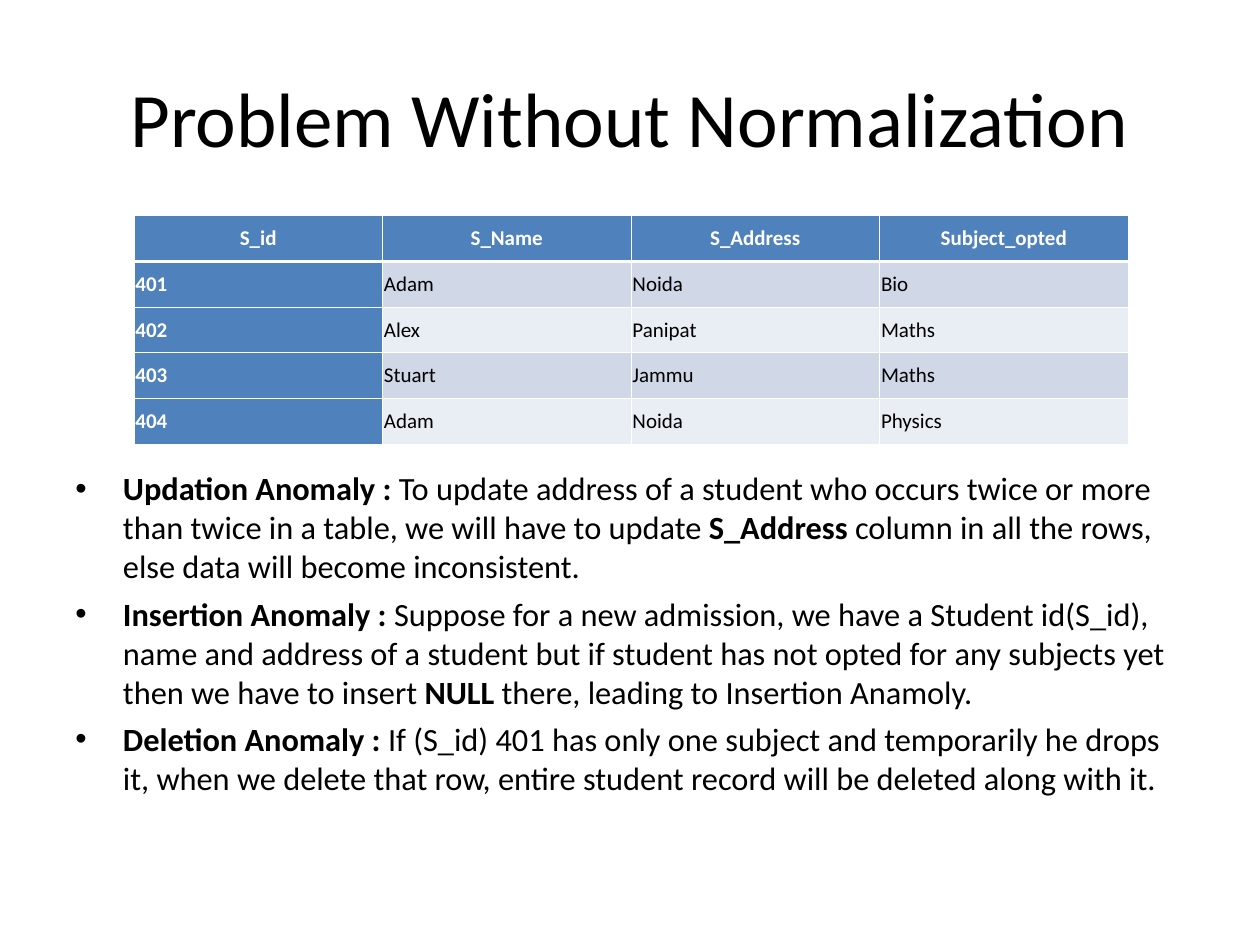
from dataclasses import dataclass

from lxml import etree
from pptx import Presentation
from pptx.dml.color import RGBColor
from pptx.enum.text import MSO_ANCHOR, PP_ALIGN
from pptx.oxml.ns import qn
from pptx.util import Cm, Pt

CENTER, LEFT = PP_ALIGN.CENTER, PP_ALIGN.LEFT
MIDDLE, TOP = MSO_ANCHOR.MIDDLE, MSO_ANCHOR.TOP

TITLE = "Problem Without Normalization"
STUDENTS = [
    ("S_id", "S_Name", "S_Address", "Subject_opted"),
    ("401", "Adam", "Noida", "Bio"),
    ("402", "Alex", "Panipat", "Maths"),
    ("403", "Stuart", "Jammu", "Maths"),
    ("404", "Adam", "Noida", "Physics"),
]
# Each anomaly alternates bold and regular wording, starting with bold.
ANOMALIES = [
    ("Updation Anomaly :",
     " To update address of a student who occurs twice or more than twice in a table, "
     "we will have to update ",
     "S_Address",
     " column in all the rows, else data will become inconsistent."),
    ("Insertion Anomaly :",
     " Suppose for a new admission, we have a Student id(S_id), name and address of a "
     "student but if student has not opted for any subjects yet then we have to insert ",
     "NULL",
     " there, leading to Insertion Anamoly."),
    ("Deletion Anomaly :",
     " If (S_id) 401 has only one subject and temporarily he drops it, when we delete "
     "that row, entire student record will be deleted along with it."),
]


@dataclass(frozen=True)
class Theme:
    font: str = "Calibri"
    ink: str = "000000"
    paper: str = "FFFFFF"
    accent: str = "4F81BD"
    bands: tuple = ("D0D8E8", "E9EDF4")
    title_size: float = 44
    body_size: float = 18.5
    cell_size: float = 12
    rule: float = 0.45
    header_rule: float = 1.47


THEME = Theme()


def add_run(paragraph, text, size, color=THEME.ink, bold=False):
    run = paragraph.add_run()
    run.text = text
    run.font.name = THEME.font
    run.font.size = Pt(size)
    run.font.bold = bold
    run.font.color.rgb = RGBColor.from_string(color)


def add_bullet(paragraph, hang):
    properties = paragraph._p.get_or_add_pPr()
    properties.set("marL", str(hang))
    properties.set("indent", str(-hang))
    color = etree.SubElement(properties, qn("a:buClr"))
    etree.SubElement(color, qn("a:srgbClr"), val=THEME.ink)
    etree.SubElement(properties, qn("a:buFont"), typeface="Arial")
    etree.SubElement(properties, qn("a:buChar"), char="•")


def add_borders(cell, row):
    widths = {
        "L": THEME.rule,
        "R": THEME.rule,
        "T": THEME.header_rule if row == 1 else THEME.rule,
        "B": THEME.header_rule if row == 0 else THEME.rule,
    }
    properties = cell._tc.get_or_add_tcPr()
    for side, width in widths.items():
        line = etree.SubElement(properties, qn(f"a:ln{side}"), w=str(Pt(width)))
        fill = etree.SubElement(line, qn("a:solidFill"))
        etree.SubElement(fill, qn("a:srgbClr"), val=THEME.paper)


def add_title(slide):
    title = slide.shapes.title
    title.left, title.top, title.width, title.height = Cm(1.27), Cm(0.76), Cm(22.86), Cm(3.18)
    title.text_frame.vertical_anchor = MIDDLE
    paragraph = title.text_frame.paragraphs[0]
    paragraph.alignment = CENTER
    add_run(paragraph, TITLE, THEME.title_size)


def add_anomalies(slide):
    frame = slide.shapes.add_textbox(Cm(1.27), Cm(9.32), Cm(22.86), Cm(9)).text_frame
    frame.word_wrap = True
    frame.vertical_anchor = TOP
    for index, pieces in enumerate(ANOMALIES):
        paragraph = frame.add_paragraph() if index else frame.paragraphs[0]
        add_bullet(paragraph, Cm(0.96))
        if index:
            paragraph.space_before = Pt(5)
        for position, piece in enumerate(pieces):
            add_run(paragraph, piece, THEME.body_size, bold=position % 2 == 0)


def add_students(slide):
    rows, columns = len(STUDENTS), len(STUDENTS[0])
    table = slide.shapes.add_table(
        rows, columns, Cm(2.7), Cm(4.35), Cm(5.01) * columns, Cm(0.92) * rows).table
    table.first_col = True
    for row, record in enumerate(STUDENTS):
        for column, value in enumerate(record):
            cell = table.cell(row, column)
            heading = row == 0 or column == 0
            add_borders(cell, row)
            cell.fill.solid()
            cell.fill.fore_color.rgb = RGBColor.from_string(
                THEME.accent if heading else THEME.bands[(row - 1) % 2])
            cell.vertical_anchor = MIDDLE
            cell.margin_left = cell.margin_right = Cm(0.03)
            paragraph = cell.text_frame.paragraphs[0]
            paragraph.alignment = CENTER if row == 0 else LEFT
            add_run(paragraph, value, THEME.cell_size,
                    THEME.paper if heading else THEME.ink, heading)


def main():
    presentation = Presentation()
    presentation.slide_width, presentation.slide_height = Cm(25.4), Cm(19.05)
    slide = presentation.slides.add_slide(presentation.slide_layouts.get_by_name("Title Only"))
    add_title(slide)
    add_anomalies(slide)
    add_students(slide)
    presentation.save("out.pptx")


if __name__ == "__main__":
    main()
